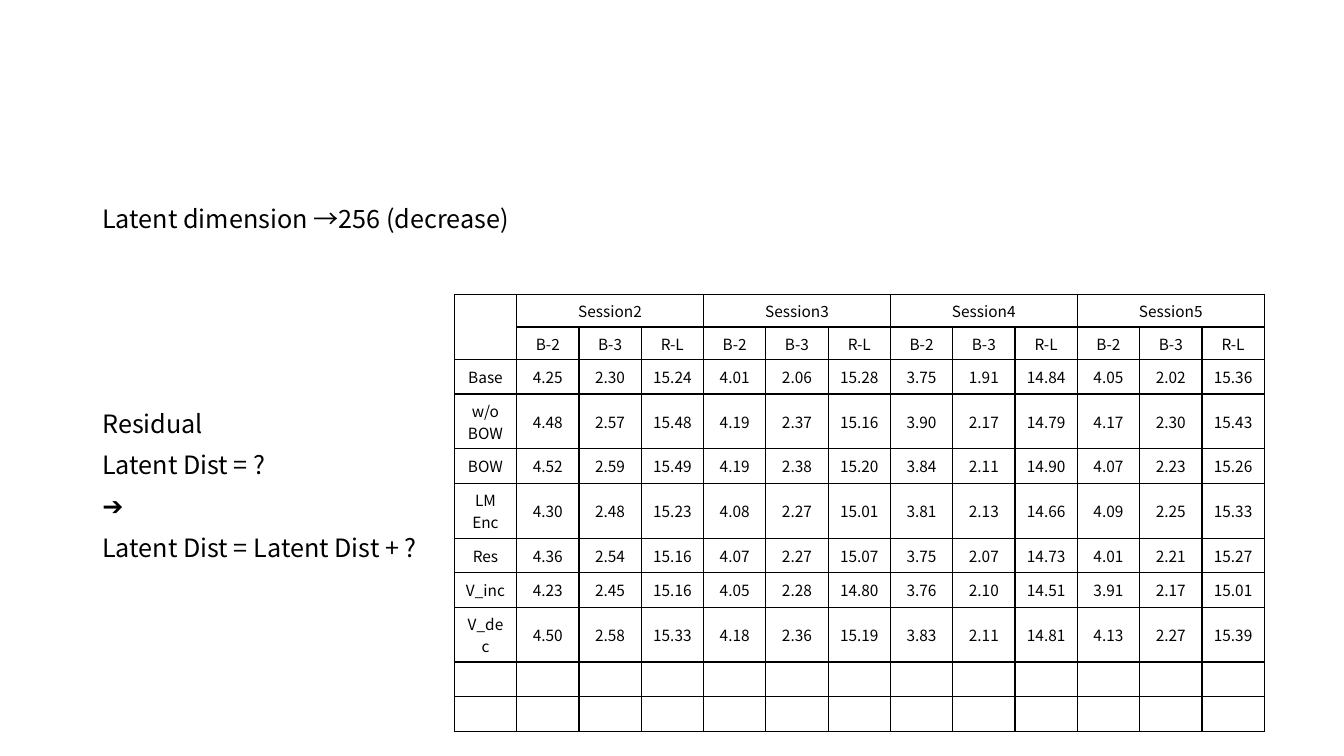
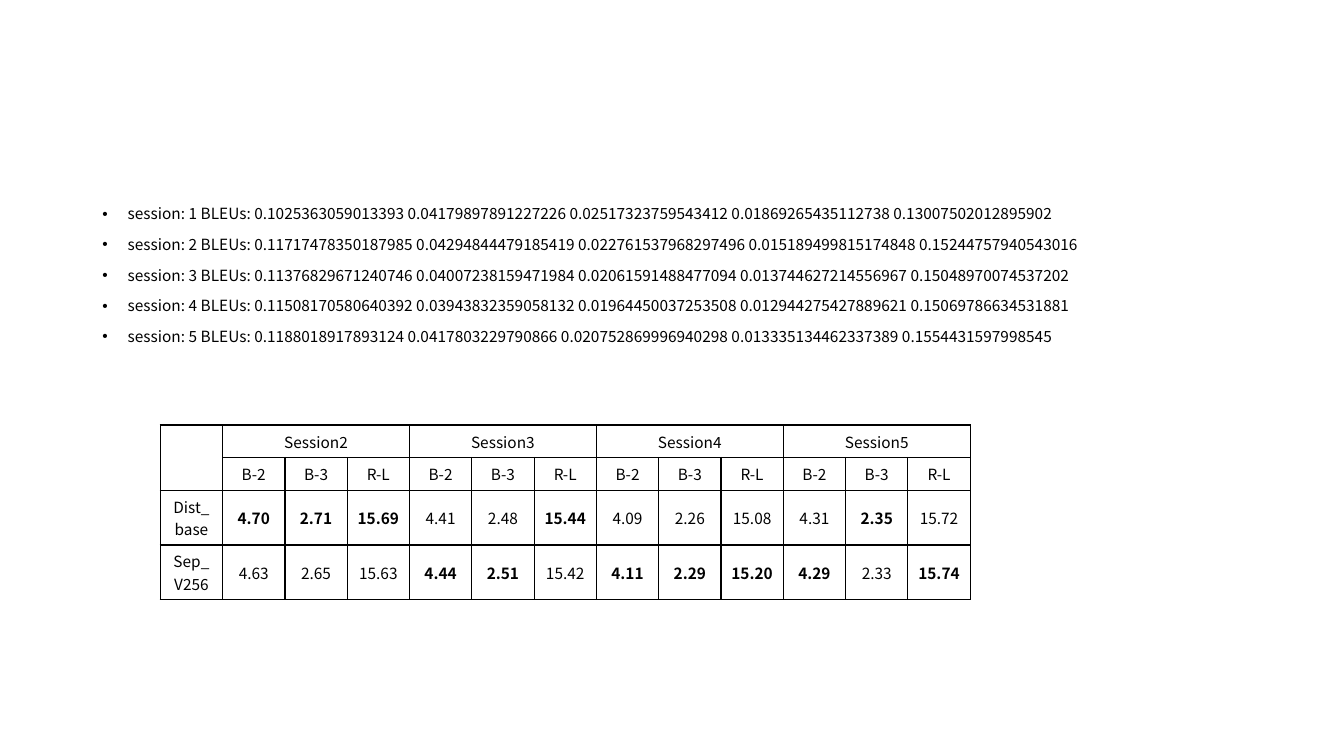
from lxml import etree
from pptx import Presentation
from pptx.dml.color import RGBColor
from pptx.enum.text import MSO_ANCHOR, MSO_AUTO_SIZE, PP_ALIGN
from pptx.oxml.ns import qn
from pptx.util import Cm, Pt

MIDDLE = MSO_ANCHOR.MIDDLE
CENTER = PP_ALIGN.CENTER
SHRINK = MSO_AUTO_SIZE.TEXT_TO_FIT_SHAPE

COLORS = {"text": "000000", "border": "000000", "page": "FFFFFF"}
FONT = "Noto Sans CJK KR"
TABLE_SIZE = 11
SESSIONS = ["Session2", "Session3", "Session4", "Session5"]
METRICS = ["B-2", "B-3", "R-L"]

# Each row: label, then three scores per session; * marks a bold score.
MODEL_SCORES = [
    ("Base", "4.25 2.30 15.24 4.01 2.06 15.28 3.75 1.91 14.84 4.05 2.02 15.36"),
    ("w/o\nBOW", "4.48 2.57 15.48 4.19 2.37 15.16 3.90 2.17 14.79 4.17 2.30 15.43"),
    ("BOW", "4.52 2.59 15.49 4.19 2.38 15.20 3.84 2.11 14.90 4.07 2.23 15.26"),
    ("LM\nEnc", "4.30 2.48 15.23 4.08 2.27 15.01 3.81 2.13 14.66 4.09 2.25 15.33"),
    ("Res", "4.36 2.54 15.16 4.07 2.27 15.07 3.75 2.07 14.73 4.01 2.21 15.27"),
    ("V_inc", "4.23 2.45 15.16 4.05 2.28 14.80 3.76 2.10 14.51 3.91 2.17 15.01"),
    ("V_dec", "4.50 2.58 15.33 4.18 2.36 15.19 3.83 2.11 14.81 4.13 2.27 15.39"),
    ("", ""),
    ("", ""),
]
BEST_SCORES = [
    ("Dist_base", "*4.70 *2.71 *15.69 4.41 2.48 *15.44 4.09 2.26 15.08 4.31 *2.35 15.72"),
    ("Sep_V256", "4.63 2.65 15.63 *4.44 *2.51 15.42 *4.11 *2.29 *15.20 *4.29 2.33 *15.74"),
]
BLEU_LINES = [
    "session: 1 BLEUs: 0.1025363059013393 0.04179897891227226 0.02517323759543412 "
    "0.01869265435112738 0.13007502012895902",
    "session: 2 BLEUs: 0.11717478350187985 0.04294844479185419 0.022761537968297496 "
    "0.015189499815174848 0.15244757940543016",
    "session: 3 BLEUs: 0.11376829671240746 0.04007238159471984 0.02061591488477094 "
    "0.013744627214556967 0.15048970074537202",
    "session: 4 BLEUs: 0.11508170580640392 0.03943832359058132 0.01964450037253508 "
    "0.012944275427889621 0.15069786634531881",
    "session: 5 BLEUs: 0.1188018917893124 0.0417803229790866 0.020752869996940298 "
    "0.013335134462337389 0.1554431597998545",
]


class Deck:
    """Holds the presentation, its style and the current page."""

    def __init__(self):
        self.presentation = Presentation()
        self.presentation.slide_width = Cm(33.87)
        self.presentation.slide_height = Cm(19.05)
        self.page = None

    def add_page(self):
        self.page = self.presentation.slides.add_slide(self.presentation.slide_layouts[6])
        fill = self.page.background.fill
        fill.solid()
        fill.fore_color.rgb = RGBColor.from_string(COLORS["page"])

    def add_span(self, para, text, size, bold=False):
        span = para.add_run()
        span.text = text
        span.font.name = FONT
        span.font.size = Pt(size)
        span.font.bold = bold
        span.font.color.rgb = RGBColor.from_string(COLORS["text"])
        latin = span.font._element.find(qn("a:latin"))
        latin.addnext(latin.makeelement(qn("a:ea"), {"typeface": FONT}))

    def add_body(self, lines, size, bullet=False, gaps=None):
        """Fill the body area; gaps maps a line number to its space before."""
        box = self.page.shapes.add_textbox(Cm(2.33), Cm(5.08), Cm(29.21), Cm(12.09))
        frame = box.text_frame
        frame.word_wrap = True
        frame.auto_size = SHRINK
        for number, line in enumerate(lines):
            para = frame.add_paragraph() if number else frame.paragraphs[0]
            para.line_spacing = 0.9
            para.space_before = Pt((gaps or {}).get(number, 10))
            if bullet:
                self.add_bullet(para)
            self.add_span(para, line, size)

    def add_bullet(self, para):
        properties = para._p.get_or_add_pPr()
        properties.set("marL", str(Cm(0.64)))
        properties.set("indent", str(-Cm(0.64)))
        etree.SubElement(properties, qn("a:buFont"), typeface="Arial")
        etree.SubElement(properties, qn("a:buChar"), char="•")

    def style_cell(self, cell):
        """Give a cell thin borders on all sides and no fill."""
        properties = cell._tc.get_or_add_tcPr()
        for side in ("lnL", "lnR", "lnT", "lnB"):
            line = etree.SubElement(properties, qn(f"a:{side}"), w=str(Pt(1)))
            solid = etree.SubElement(line, qn("a:solidFill"))
            etree.SubElement(solid, qn("a:srgbClr"), val=COLORS["border"])
        cell.fill.background()
        cell.vertical_anchor = MIDDLE

    def write_cell(self, cell, text):
        bold = text.startswith("*")
        for number, line in enumerate(text.lstrip("*").split("\n")):
            frame = cell.text_frame
            para = frame.add_paragraph() if number else frame.paragraphs[0]
            para.alignment = CENTER
            if line:
                self.add_span(para, line, TABLE_SIZE, bold)
            else:
                etree.SubElement(para._p, qn("a:endParaRPr"), sz=str(TABLE_SIZE * 100))

    def add_score_table(self, left, top, scores):
        group = len(METRICS)
        column_count = 1 + group * len(SESSIONS)
        session_row = [""]
        for session in SESSIONS:
            session_row += [session] + [""] * (group - 1)
        rows = [session_row, [""] + METRICS * len(SESSIONS)]
        for label, values in scores:
            rows.append([label] + (values.split() or [""] * (column_count - 1)))

        heights = [Cm(0.82)] * 2 + [Cm(0.87)] * len(scores)
        width = Cm(1.57)
        table = self.page.shapes.add_table(
            len(rows), column_count, left, top, width * column_count, sum(heights)
        ).table
        table.first_row = False
        table.horz_banding = False
        for column in table.columns:
            column.width = width
        for row_number, row in enumerate(rows):
            table.rows[row_number].height = heights[row_number]
            for column_number, text in enumerate(row):
                cell = table.cell(row_number, column_number)
                self.style_cell(cell)
                self.write_cell(cell, text)
        table.cell(0, 0).merge(table.cell(1, 0))
        for start in range(1, column_count, group):
            table.cell(0, start).merge(table.cell(0, start + group - 1))


def main():
    deck = Deck()

    deck.add_page()
    deck.add_body(
        [
            "Latent dimension →256 (decrease)",
            "Residual",
            "Latent Dist = ?",
            "➔",
            "Latent Dist = Latent Dist + ?",
        ],
        size=18,
        gaps={1: 127},
    )
    deck.add_score_table(Cm(11.45), Cm(7.42), MODEL_SCORES)

    deck.add_page()
    deck.add_body(BLEU_LINES, size=11, bullet=True)
    deck.add_score_table(Cm(4.04), Cm(10.71), BEST_SCORES)

    deck.presentation.save("out.pptx")


if __name__ == "__main__":
    main()
